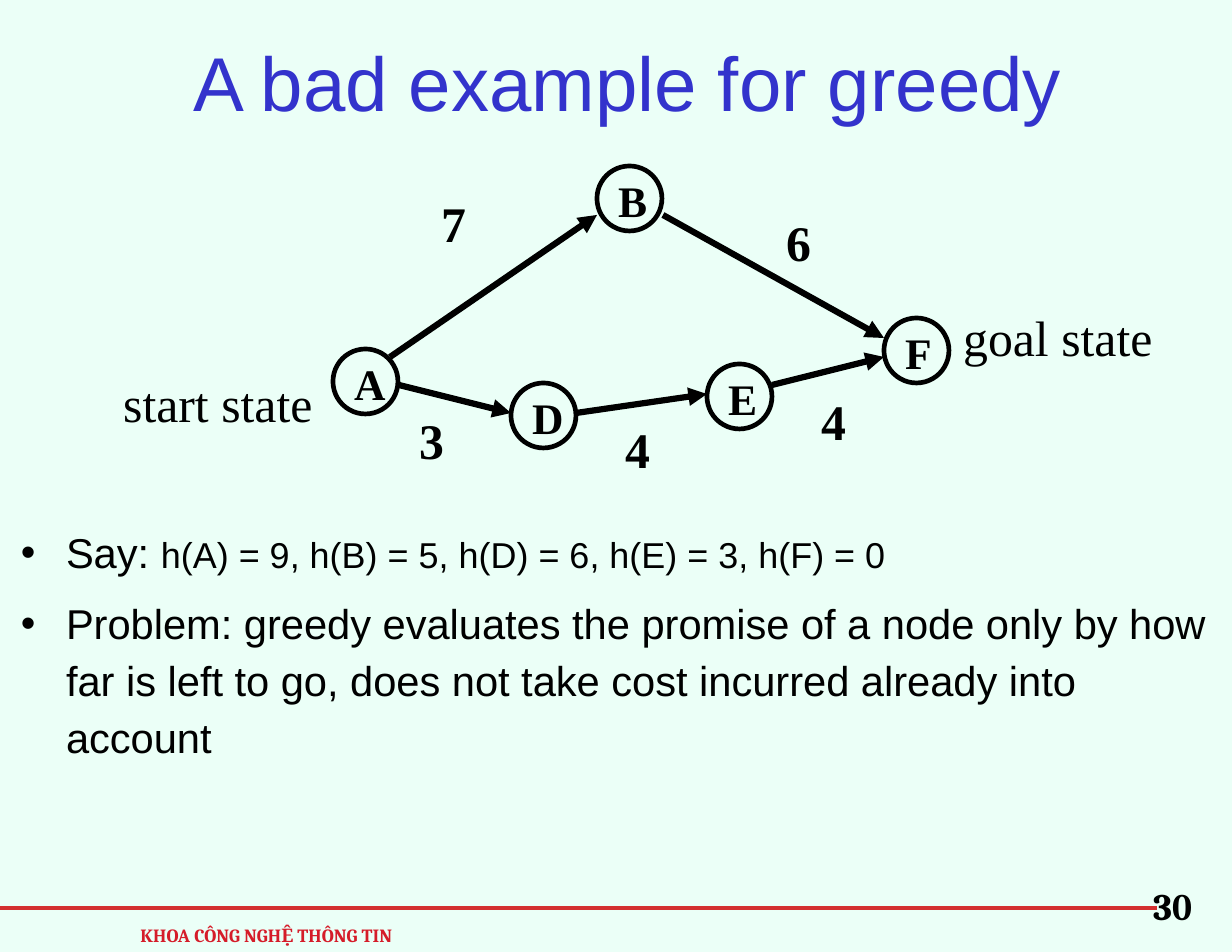
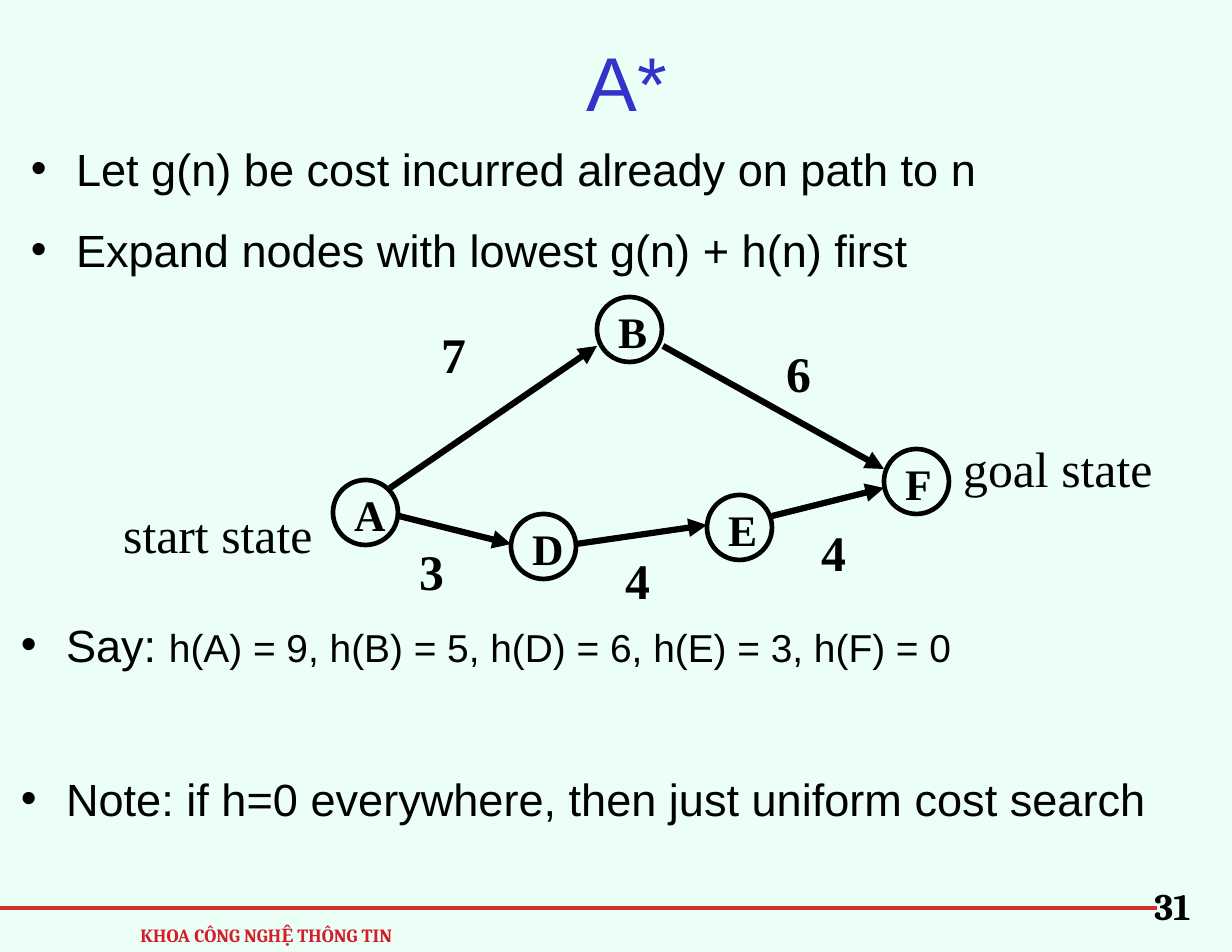
import pptx
import pptx.util
import pptx.dml.color
import pptx.enum.shapes
import pptx.enum.text
import pptx.oxml.ns
from lxml import etree

# Shared look
PX = 914400 / 112
MINT = pptx.dml.color.RGBColor(0xEB, 0xFF, 0xF7)
BLUE = pptx.dml.color.RGBColor(0x33, 0x33, 0xCC)
BLACK = pptx.dml.color.RGBColor(0, 0, 0)
RULE_RED = pptx.dml.color.RGBColor(0xD3, 0x2F, 0x2F)
FOOTER_RED = pptx.dml.color.RGBColor(0xD5, 0x1C, 0x29)
ALIGN = pptx.enum.text.PP_ALIGN
ANCHOR = pptx.enum.text.MSO_ANCHOR
FIT = pptx.enum.text.MSO_AUTO_SIZE
SHAPES = pptx.enum.shapes

TITLE = {"name": "Arial", "size": 49, "bold": False, "color": BLUE}
BODY = {"name": "Arial", "bold": False, "color": BLACK}
NODE = {"name": "Times New Roman", "size": 28, "bold": True, "color": BLACK}
COST = {**NODE, "size": 32}
STATE = {**COST, "bold": False}
FOOTER = {"name": "Cambria", "size": 12, "bold": True, "color": FOOTER_RED}
NUMBER = {**FOOTER, "size": 24, "color": BLACK}

# Graph content, in px
CIRCLE = 65
NODES = [  # letter, left, top, label width
    ("A", 333, 349, 54), ("B", 597, 166, 52), ("F", 884, 318, 49),
    ("D", 511, 383, 54), ("E", 707, 364, 52),
]
EDGES = [
    (390, 357, 597, 215), (663, 215, 884, 338), (399, 385, 511, 413),
    (576, 413, 707, 394), (772, 385, 884, 357),
]
COSTS = [("3", 408, 394), ("4", 614, 403), ("4", 810, 375), ("7", 430, 177), ("6", 775, 196)]
STATES = [("start state", 112, 357), ("goal state", 952, 291)]

# Slide content: each list item is (space before, [(text, size), ...])
HEURISTICS = "h(A) = 9, h(B) = 5, h(D) = 6, h(E) = 3, h(F) = 0"
SLIDES = [
    {"title": "A bad example for greedy", "number": "30", "layout": 1, "graph_drop": 0,
     "lists": [
         {"at": (9, 513, 1223, 252), "spacing": 1.14, "items": [
             (0, [("Say: ", 26.8), (HEURISTICS, 23.1)]),
             (9, [("Problem: greedy evaluates the promise of a node only by how far is left "
                   "to go, does not take cost incurred already into account", 26.8)])]}]},
    {"title": "A*", "number": "31", "layout": 3, "graph_drop": 131,
     "lists": [
         {"at": (19, 121, 1223, 252), "spacing": 1.24, "items": [
             (0, [("Let g(n) be cost incurred already on path to n", 29)]),
             (9, [("Expand nodes with lowest g(n) + h(n) first", 29)])]},
         {"at": (9, 597, 1223, 252), "spacing": 1.24, "items": [
             (0, [("Say: ", 29), (HEURISTICS, 25)]),
             (56, [("Note: if h=0 everywhere, then just uniform cost search", 29)])]}]},
]


def emu(*lengths):
    return [round(length * PX) for length in lengths]


def place(shape, at):
    for side, length in zip(("left", "top", "width", "height"), emu(*at)):
        setattr(shape, side, length)


def set_frame(frame, **settings):
    for key, value in settings.items():
        setattr(frame, key, value)


def add_span(para, text, look):
    span = para.add_run()
    span.text = text
    for key, value in look.items():
        if key == "color":
            span.font.color.rgb = value
        else:
            setattr(span.font, key, pptx.util.Pt(value) if key == "size" else value)


def add_label(page, text, at, look, align=ALIGN.CENTER, wrap=False):
    box = page.shapes.add_textbox(*emu(*at))
    set_frame(box.text_frame, word_wrap=wrap, auto_size=FIT.SHAPE_TO_FIT_TEXT)
    para = box.text_frame.paragraphs[0]
    para.alignment, para.line_spacing = align, 1.18
    add_span(para, text, look)


def add_line(page, ends, color, width, arrow=False):
    line = page.shapes.add_connector(SHAPES.MSO_CONNECTOR.STRAIGHT, *emu(*ends))
    line.line.color.rgb = color
    line.line.width = pptx.util.Pt(width)
    if arrow:
        head = etree.SubElement(line.line._get_or_add_ln(), pptx.oxml.ns.qn("a:tailEnd"))
        head.set("type", "triangle")
    etree.SubElement(line._element.spPr, pptx.oxml.ns.qn("a:effectLst"))


def fill_title(title, text):
    place(title, (22, 0, 1210, 140))
    margin_x, margin_y = emu(12, 7)
    set_frame(title.text_frame, vertical_anchor=ANCHOR.MIDDLE, auto_size=FIT.NONE,
              margin_left=margin_x, margin_right=margin_x,
              margin_top=margin_y, margin_bottom=margin_y)
    para = title.text_frame.paragraphs[0]
    para.alignment, para.line_spacing = ALIGN.CENTER, 1.24
    add_span(para, text, TITLE)


def fill_list(body, content):
    place(body, content["at"])
    margin_x, margin_y = emu(12, 7)
    frame = body.text_frame
    set_frame(frame, vertical_anchor=ANCHOR.TOP, auto_size=FIT.NONE, word_wrap=True,
              margin_left=margin_x, margin_right=margin_x,
              margin_top=margin_y, margin_bottom=margin_y)
    indent = emu(45)[0]
    for index, (space, spans) in enumerate(content["items"]):
        para = frame.add_paragraph() if index else frame.paragraphs[0]
        properties = para._p.get_or_add_pPr()
        properties.set("marL", str(indent))
        properties.set("indent", str(-indent))
        para.line_spacing = content["spacing"]
        para.space_before = pptx.util.Pt(space)
        for text, size in spans:
            add_span(para, text, {**BODY, "size": size})


def add_graph(page, drop):
    for letter, left, top, width in NODES:
        circle = page.shapes.add_shape(SHAPES.MSO_SHAPE.OVAL,
                                       *emu(left, top + drop, CIRCLE, CIRCLE))
        circle.shadow.inherit = False
        circle.fill.background()
        circle.line.color.rgb = BLACK
        circle.line.width = pptx.util.Pt(3)
        add_label(page, letter, (left + 10, top + drop - 7, width, 73), NODE, ALIGN.LEFT)
    for x1, y1, x2, y2 in EDGES:
        add_line(page, (x1, y1 + drop, x2, y2 + drop), BLACK, 4, arrow=True)
    for labels, width, look in ((COSTS, 47, COST), (STATES, 212, STATE)):
        for text, left, top in labels:
            add_label(page, text, (left, top + drop, width, 82), look)


def add_footer(page, number):
    add_line(page, (0, 908, 1157, 908), RULE_RED, 2.25)
    add_label(page, "KHOA CÔNG NGHỆ THÔNG TIN", (125, 914, 283, 38), FOOTER, wrap=True)
    add_label(page, number, (1129, 870, 87, 64), NUMBER, wrap=True)


def main():
    deck = pptx.Presentation()
    deck.slide_width, deck.slide_height = emu(1232, 952)
    background = deck.slide_master.background.fill
    background.solid()
    background.fore_color.rgb = MINT
    for content in SLIDES:
        page = deck.slides.add_slide(deck.slide_layouts[content["layout"]])
        add_footer(page, content["number"])
        fill_title(page.shapes.title, content["title"])
        bodies = [holder for holder in page.placeholders if holder.placeholder_format.idx]
        for body, items in zip(bodies, content["lists"]):
            fill_list(body, items)
        add_graph(page, content["graph_drop"])
    deck.save("out.pptx")


if __name__ == "__main__":
    main()
